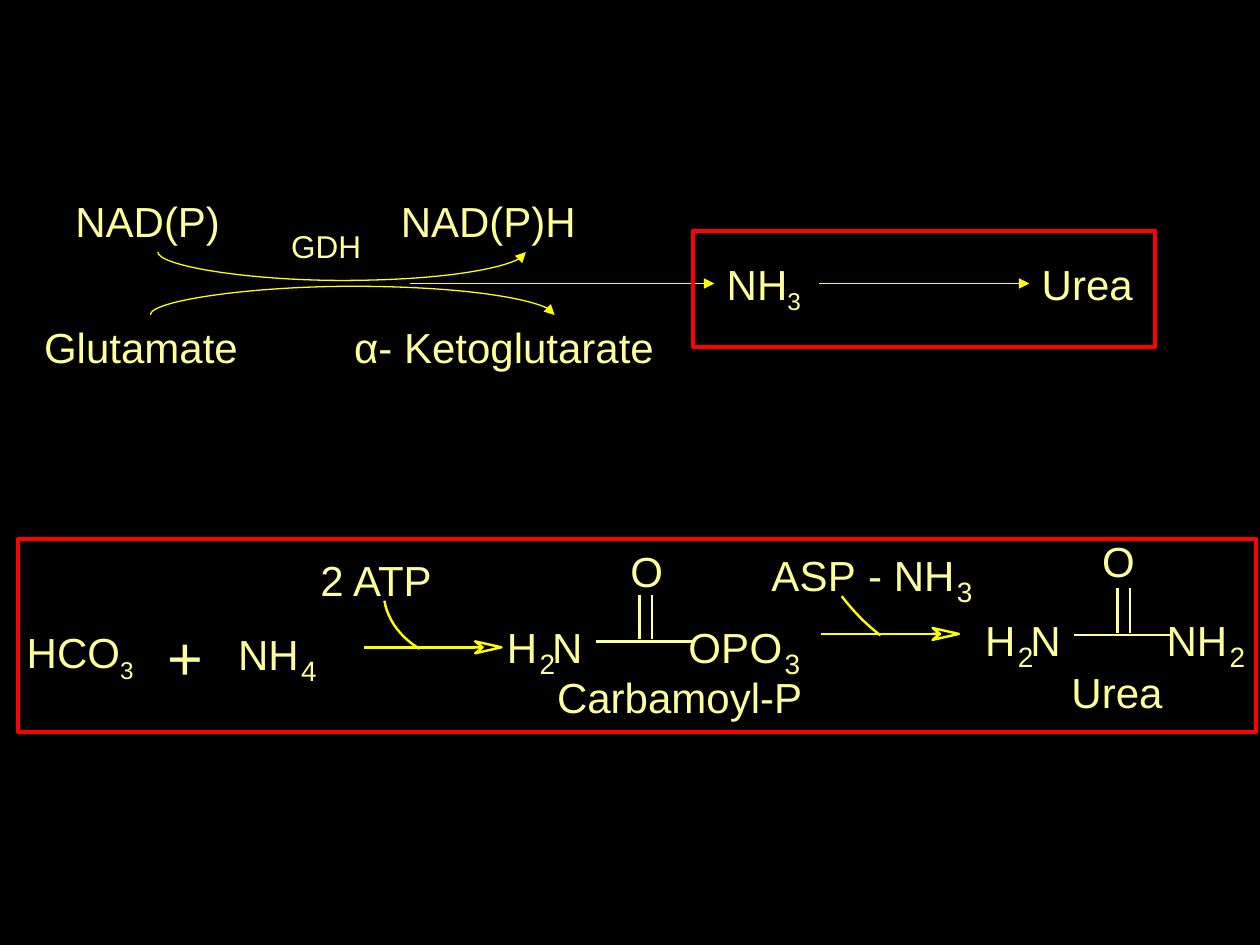
import lxml.etree
import pptx
import pptx.dml.color
import pptx.enum.shapes
import pptx.enum.text
import pptx.oxml.ns
import pptx.util

Cm, Pt = pptx.util.Cm, pptx.util.Pt
RGBColor = pptx.dml.color.RGBColor
Link = pptx.enum.shapes.MSO_CONNECTOR
qn = pptx.oxml.ns.qn

BLACK = RGBColor(0x00, 0x00, 0x00)
CREAM = RGBColor(0xFF, 0xFF, 0x99)
YELLOW = RGBColor(0xFF, 0xFF, 0x00)
RED = RGBColor(0xFF, 0x00, 0x00)

THIN, BOLD = 0.75, 1.38
ROW = 1.27  # height of a label in the upper scheme
CAP, SUB = 1.02, 0.69  # heights of letter and index boxes
WIDTHS = {"N": 0.61, "H": 0.61, "O": 0.66, "A": 0.57, "S": 0.57, "P": 0.57, "-": 0.28}


def label(slide, x, y, w, h, text, size=24, sub="", tight=False, center=False):
    """Add a text box; sub is a lowered index after the text."""
    box = slide.shapes.add_textbox(Cm(x), Cm(y), Cm(w), Cm(h))
    frame = box.text_frame
    frame.word_wrap = not tight
    frame.auto_size = pptx.enum.text.MSO_AUTO_SIZE.SHAPE_TO_FIT_TEXT
    if tight:
        frame.margin_left = frame.margin_right = 0
        frame.margin_top = frame.margin_bottom = 0
    para = frame.paragraphs[0]
    if center:
        para.alignment = pptx.enum.text.PP_ALIGN.CENTER
    for part in filter(None, (text, sub)):
        run = para.add_run()
        run.text = part
        run.font.name = "Arial"
        run.font.size = Pt(size)
        run.font.color.rgb = CREAM
    if sub:
        run.font._element.set("baseline", "-25000")
    return box


def formula(slide, x, y, text):
    """Set a formula letter by letter, with its digits lowered."""
    for sign in text:
        if sign == " ":
            x += 0.24
        elif sign.isdigit():
            label(slide, x + 0.05, y + 0.51, 0.3, SUB, sign, size=16, tight=True)
            x += 0.3
        else:
            label(slide, x, y, WIDTHS[sign], CAP, sign, tight=True)
            x += WIDTHS[sign]


def line(slide, x1, y1, x2, y2, color, width, kind=Link.STRAIGHT, head=False):
    link = slide.shapes.add_connector(kind, Cm(x1), Cm(y1), Cm(x2), Cm(y2))
    link.line.color.rgb = color
    link.line.width = Pt(width)
    if head:
        tip = lxml.etree.SubElement(link.line._get_or_add_ln(), qn("a:tailEnd"))
        tip.set("type", "triangle")
    lxml.etree.SubElement(link._element.spPr, qn("a:effectLst"))
    return link


def curve(slide, x1, x2, y, down):
    """Add an arrow from x1 to x2, both at y, bulging down or up."""
    mid, half = (x1 + x2) / 2, (x2 - x1) / 2
    link = line(slide, mid, y - half, mid, y + half, YELLOW, THIN, Link.CURVE, True)
    link.width = pptx.util.Emu(1588)
    frame = link._element.spPr.find(qn("a:xfrm"))
    frame.set("rot", "16200000" if down else "5400000")
    frame.set("flipH" if down else "flipV", "1")
    guide = lxml.etree.SubElement(link._element.spPr.find(".//" + qn("a:avLst")), qn("a:gd"))
    guide.set("name", "adj1")
    guide.set("fmla", "val 14400000" if down else "val -14400000")


def outline(slide, points, closed):
    dots = [(Cm(x), Cm(y)) for x, y in points]
    pen = slide.shapes.build_freeform(*dots[0])
    pen.add_line_segments(dots[1:], close=closed)
    shape = pen.convert_to_shape()
    shape.shadow.inherit = False
    if closed:
        shape.fill.solid()
        shape.fill.fore_color.rgb = BLACK
    else:
        shape.fill.background()
    shape.line.color.rgb = YELLOW
    shape.line.width = Pt(BOLD)


def step(slide, x, y, feed):
    """Draw a reaction arrow and the cubic curve that feeds into it."""
    line(slide, x, y, x + 2.24, y, YELLOW, BOLD)
    barb = [(0, 0), (0.15, 0), (0, -0.12), (0.53, 0), (0, 0.12), (0.15, 0)]
    outline(slide, [(x + 2.24 + dx, y + dy) for dx, dy in barb], True)
    arc = []
    for i in range(13):
        t = i / 12
        parts = ((1 - t) ** 3, 3 * t * (1 - t) ** 2, 3 * t * t * (1 - t), t ** 3)
        arc.append((x + sum(k * p[0] for k, p in zip(parts, feed)),
                    y + sum(k * p[1] for k, p in zip(parts, feed))))
    outline(slide, arc, False)


def amide(slide, x, y, tail, top):
    """Draw H2N-C(=O)-tail; top is the offset of the upper O."""
    formula(slide, x, y, "H2N")
    formula(slide, x + top[0], y + top[1], "O")
    formula(slide, x + 3.66, y, tail)
    for start, end in ((1.8, 2.79), (2.79, 3.76)):
        line(slide, x + start, y + 0.41, x + end, y + 0.41, CREAM, BOLD)
    for dx in (2.67, 2.92):
        line(slide, x + dx, y + 0.37, x + dx, y - 0.53, CREAM, BOLD)


def frame(slide, x, y, w, h):
    rect = slide.shapes.add_shape(
        pptx.enum.shapes.MSO_SHAPE.RECTANGLE, Cm(x), Cm(y), Cm(w), Cm(h))
    rect.shadow.inherit = False
    rect.fill.background()
    rect.line.color.rgb = RED
    rect.line.width = Pt(2.25)


def release(slide, x, y):
    """Show how glutamate gives off ammonia."""
    for dx, dy, w, text in ((0.63, 0, 3.81, "NAD(P)"), (7.19, 0, 5.51, "NAD(P)H"),
                            (0, 2 * ROW, 4.8, "Glutamate"),
                            (6.25, 2 * ROW, 8.56, "α- Ketoglutarate")):
        label(slide, x + dx, y + dy, w, ROW, text)
    label(slide, x + 4.45, y + ROW / 2, 2.97, CAP, "GDH", size=18, center=True)
    curve(slide, x + 2.54, x + 9.96, y + ROW, True)
    curve(slide, x + 2.39, x + 10.54, y + 2 * ROW, False)
    ammonia = label(slide, x + 13.76, y + ROW, 2.54, ROW, "NH", sub="3")
    urea = label(slide, x + 20.11, y + ROW, 4.01, ROW, "Urea")
    mid = y + 1.5 * ROW
    for start, end, goal in ((7.62, 13.76, ammonia), (15.87, 20.11, urea)):
        link = line(slide, x + start, mid, x + end, mid, YELLOW, THIN, head=True)
        link.end_connect(goal, 1)
    frame(slide, x + 13.33, y + 0.84, 9.32, 2.34)


def detail(slide, x, y, w, h):
    """Show the steps from ammonia to urea inside a red frame."""
    label(slide, x + 0.18, y + 1.76, 2.2, CAP, "HCO", sub="3", tight=True)
    label(slide, x + 3.02, y + 1.62, 0.71, 1.47, "+", size=35, tight=True)
    formula(slide, x + 4.44, y + 1.8, "NH4")
    label(slide, x + 6.1, y + 0.3, 2.4, CAP, "2 ATP", tight=True)
    step(slide, x + 6.98, y + 2.18,
         ((1.12, 0.03), (0.76, -0.18), (0.48, -0.53), (0.41, -0.94)))
    amide(slide, x + 9.86, y + 1.65, "OPO3", (2.49, -1.52))
    label(slide, x + 10.87, y + 2.67, 5, CAP, "Carbamoyl-P", tight=True)
    formula(slide, x + 15.19, y + 0.2, "ASP - NH3")
    step(slide, x + 16.2, y + 1.91,
         ((1.19, 0.03), (0.89, -0.2), (0.64, -0.46), (0.41, -0.76)))
    amide(slide, x + 19.5, y + 1.52, "NH2", (2.36, -1.6))
    label(slide, x + 21.24, y + 2.57, 1.95, CAP, "Urea", tight=True)
    frame(slide, x, y, w, h)


def main():
    deck = pptx.Presentation()
    deck.slide_width, deck.slide_height = Cm(25.4), Cm(19.05)
    slide = deck.slides.add_slide(deck.slide_layouts[6])
    slide.background.fill.solid()
    slide.background.fill.fore_color.rgb = BLACK
    release(slide, 0.64, 3.81)
    detail(slide, 0.36, 10.87, 24.97, 3.89)
    deck.save("out.pptx")


if __name__ == "__main__":
    main()
